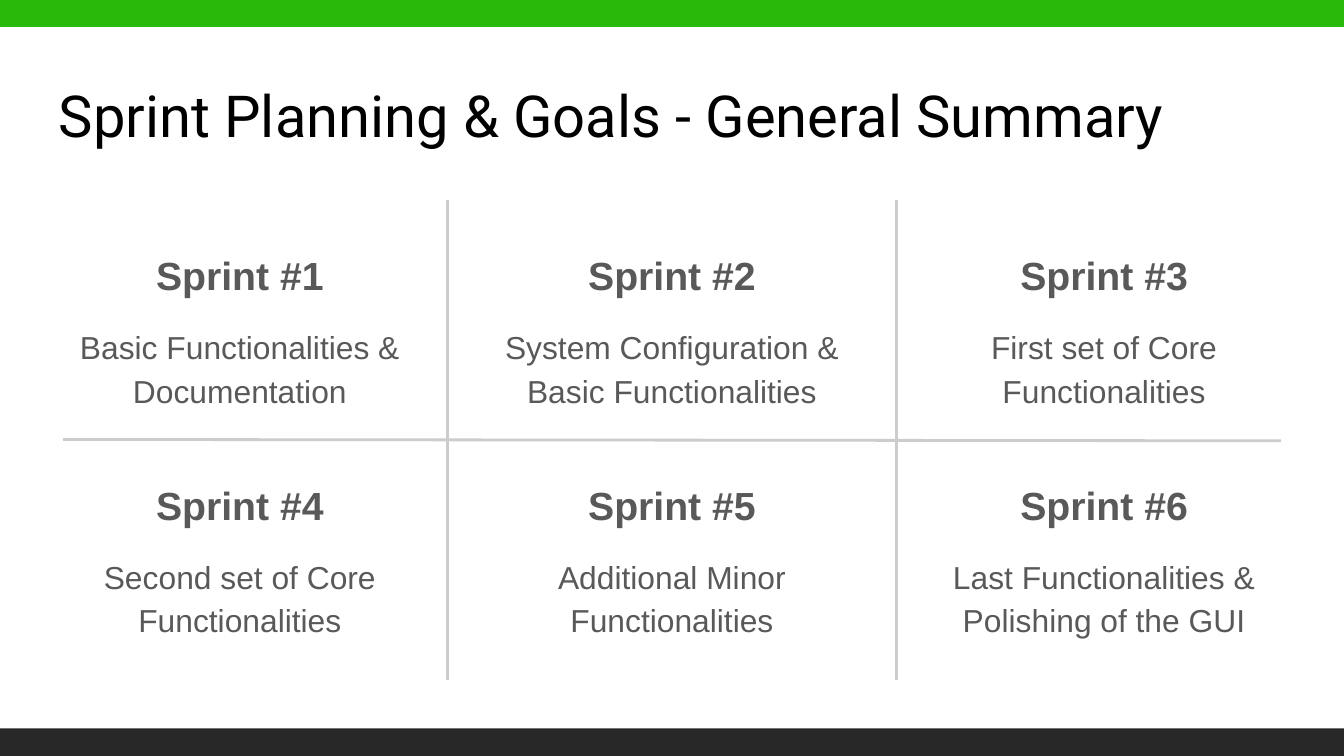
"""Build the sprint planning summary slide."""
import dataclasses

import pptx
import pptx.dml.color
import pptx.enum.shapes
import pptx.enum.text
import pptx.oxml.xmlchemy
import pptx.util

Inches = pptx.util.Inches
Pt = pptx.util.Pt
Color = pptx.dml.color.RGBColor.from_string
Align = pptx.enum.text.PP_ALIGN


@dataclasses.dataclass(frozen=True)
class Theme:
    green: str = "28BA0B"
    dark: str = "282828"
    rule: str = "CCCCCC"
    ink: str = "000000"
    gray: str = "595959"
    title: int = 31
    head: int = 21
    body: int = 17


theme = Theme()


def add_box(left, top, width, height):
    box = slide.shapes.add_textbox(Inches(left), Inches(top), Inches(width), Inches(height))
    frame = box.text_frame
    frame.word_wrap = True
    frame.margin_left = frame.margin_right = Inches(0.1)
    frame.margin_top = frame.margin_bottom = Inches(0.1)
    return frame


def write(para, text, size, color=theme.gray, font="Arial", bold=False,
          align=Align.CENTER, lines=1.15, after=0):
    para.alignment = align
    para.line_spacing = lines
    para.space_after = Pt(after)
    run = para.add_run()
    run.text = text
    run.font.size = Pt(size)
    run.font.name = font
    run.font.bold = bold
    run.font.color.rgb = Color(color)


deck = pptx.Presentation()
deck.slide_width = Inches(10)
deck.slide_height = deck.slide_width * 9 // 16
slide = deck.slides.add_slide(deck.slide_layouts[6])

for top, color in [(5.42, theme.dark), (-0.06, theme.green)]:
    bar = slide.shapes.add_shape(
        pptx.enum.shapes.MSO_SHAPE.RECTANGLE,
        Inches(-0.07), Inches(top), Inches(10.13), Inches(0.26))
    bar.shadow.inherit = False
    bar.fill.solid()
    bar.fill.fore_color.rgb = Color(color)
    bar.line.fill.background()

title = add_box(0.34, 0.49, 9.32, 0.63)
write(title.paragraphs[0], "Sprint Planning & Goals - General Summary", theme.title,
      color=theme.ink, font="Roboto", align=Align.LEFT, lines=1.0)

rules = [(9.53, 3.28, 0.47, 3.27), (3.33, 1.49, 3.33, 5.06), (6.67, 1.49, 6.67, 5.06)]
for ends in rules:
    rule = slide.shapes.add_connector(
        pptx.enum.shapes.MSO_CONNECTOR.STRAIGHT, *[Inches(end) for end in ends])
    rule.line.color.rgb = Color(theme.rule)
    rule.line.width = Pt(1.5)
    rule._element.spPr.append(pptx.oxml.xmlchemy.OxmlElement("a:effectLst"))

goals = [
    "Basic Functionalities & Documentation",
    "System Configuration & Basic Functionalities",
    "First set of Core Functionalities",
    "Second set of Core Functionalities",
    "Additional Minor Functionalities",
    "Last Functionalities & Polishing of the GUI",
]
pitch = (6.67 - 0.24) / 2
for index, goal in enumerate(goals):
    row, col = divmod(index, 3)
    cell = add_box(0.24 + pitch * col, 1.72 + 1.71 * row, 3.09, 1.4)
    write(cell.paragraphs[0], f"Sprint #{index + 1}", theme.head, bold=True, after=12.5)
    write(cell.add_paragraph(), goal, theme.body)

deck.save("out.pptx")
